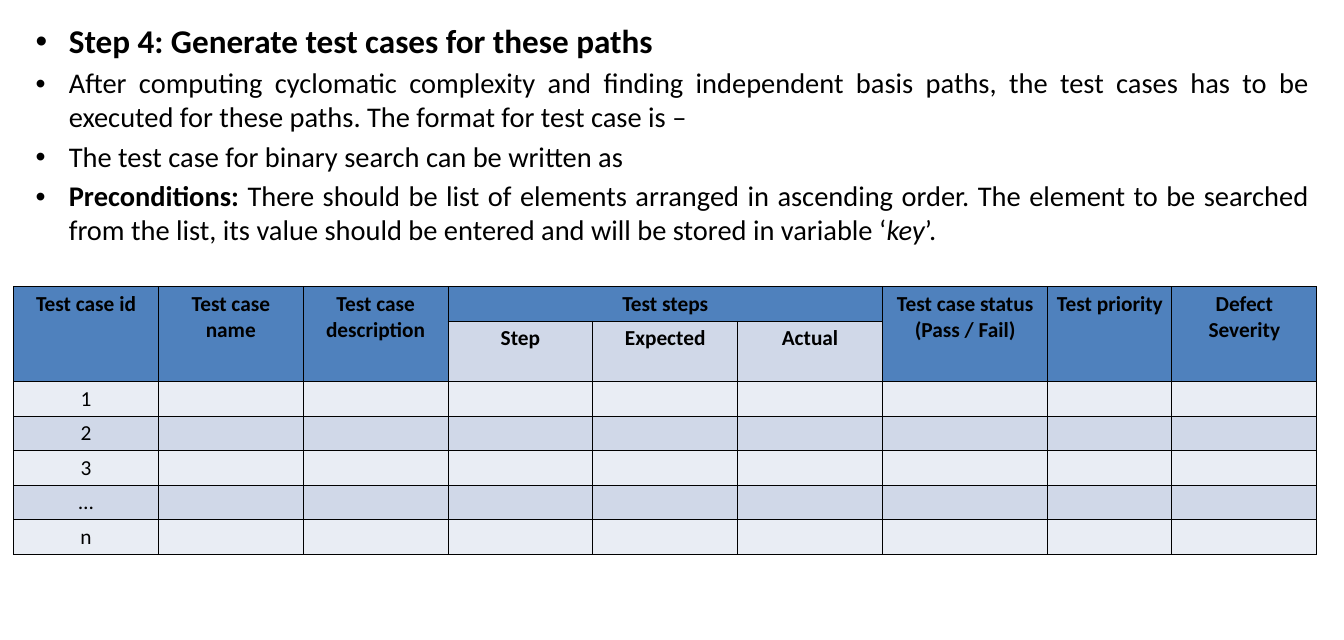
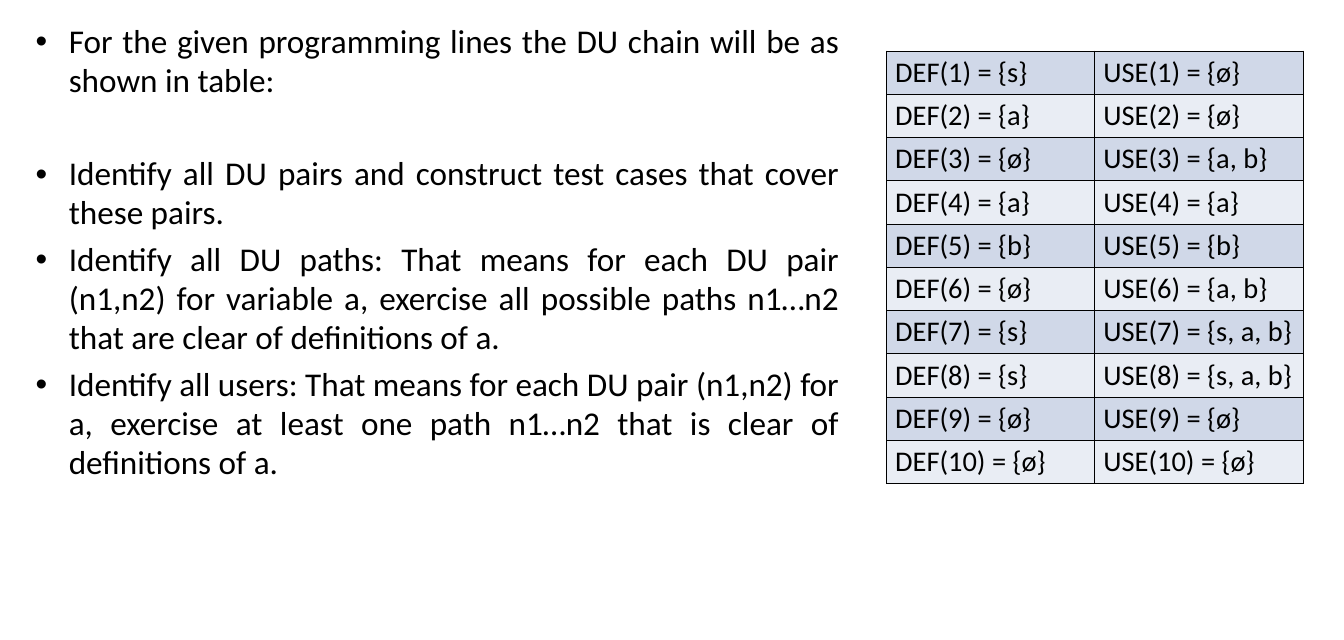
from lxml import etree
from pptx import Presentation
from pptx.dml.color import RGBColor
from pptx.enum.text import PP_ALIGN
from pptx.oxml.ns import qn
from pptx.util import Pt

JUSTIFY, CENTER, LEFT = PP_ALIGN.JUSTIFY, PP_ALIGN.CENTER, PP_ALIGN.LEFT
FONT = "Calibri"
BLACK = RGBColor(0x00, 0x00, 0x00)
HEADER_BLUE = RGBColor(0x4F, 0x81, 0xBD)
BAND_DARK = RGBColor(0xD0, 0xD8, 0xE8)
BAND_LIGHT = RGBColor(0xE9, 0xED, 0xF4)

SLIDE_WIDTH, SLIDE_HEIGHT = 1134, 540
BODY_LEFT, BODY_TOP, BODY_HEIGHT = 23, 15, 516
BULLET_INDENT = 28
LINE_SPACING = 0.98

# Bullets: (size, space before, [(text, style), ...])
PATH_BULLETS = [
    (28, 0, [("Step 4: Generate test cases for these paths", "bold")]),
    (24, 5.2, [("After computing cyclomatic complexity and finding independent basis "
                "paths, the test cases has to be executed for these paths. "
                "The format for test case is –", "")]),
    (24, 5.2, [("The test case for binary search can be written as", "")]),
    (24, 5.2, [("Preconditions: ", "bold"),
               ("There should be list of elements arranged in ascending order. "
                "The element to be searched from the list, its value should be "
                "entered and will be stored in variable ‘", ""),
               ("key", "italic"), ("’.", "")]),
]
CHAIN_BULLETS = [
    (28, 0, [("For the given programming lines the DU chain will be as shown in table:", "")]),
    (28, 46, [("Identify all DU pairs and construct test cases that cover these pairs.", "")]),
    (28, 6.5, [("Identify all DU paths: That means for each DU pair (n1,n2) for variable a, "
                "exercise all possible paths n1…n2 that are clear of definitions of a.", "")]),
    (28, 6.5, [("Identify all users: That means for each DU pair (n1,n2) for a, exercise "
                "at least one path n1…n2 that is clear of definitions of a.", "")]),
]

# Test case table
TOP_HEADERS = ["Test case id", "Test case name", "Test case description", "Test steps", "", "",
               "Test case status\n(Pass / Fail)", "Test priority", "Defect Severity"]
STEP_HEADERS = ["", "", "", "Step", "Expected", "Actual", "", "", ""]
STEP_COLUMNS = range(3, 6)
CASE_IDS = ["1", "2", "3", "…", "n"]
CASE_WIDTHS = [122.2] * 6 + [139.7, 104.6, 122.2]
CASE_HEIGHTS = [29.2, 50.8] + [29.2] * len(CASE_IDS)

# Definitions and uses of each programming line
DEFS = ["s", "a", "ø", "a", "b", "ø", "s", "s", "ø", "ø"]
USES = ["ø", "ø", "a, b", "a", "b", "a, b", "s, a, b", "s, a, b", "ø", "ø"]


def add_span(para, text, size, style=""):
    span = para.add_run()
    span.text = text
    font = span.font
    font.name, font.size = FONT, Pt(size)
    font.color.rgb = BLACK
    font.bold, font.italic = style == "bold", style == "italic"


def add_bullets(page, width, bullets):
    box = page.shapes.add_textbox(Pt(BODY_LEFT), Pt(BODY_TOP), Pt(width), Pt(BODY_HEIGHT))
    frame = box.text_frame
    frame.word_wrap = True
    for number, (size, before, spans) in enumerate(bullets):
        para = frame.add_paragraph() if number else frame.paragraphs[0]
        para.alignment = JUSTIFY
        para.line_spacing = LINE_SPACING
        para.space_before = Pt(before)
        props = para._p.get_or_add_pPr()
        props.set("marL", str(Pt(BULLET_INDENT)))
        props.set("indent", str(-Pt(BULLET_INDENT)))
        etree.SubElement(props, qn("a:buFont")).set("typeface", "Arial")
        etree.SubElement(props, qn("a:buChar")).set("char", "•")
        for text, style in spans:
            add_span(para, text, size, style)


def style_cell(cell, fill):
    props = cell._tc.get_or_add_tcPr()
    for side in ("a:lnL", "a:lnR", "a:lnT", "a:lnB"):
        line = etree.SubElement(props, qn(side), w=str(Pt(1)))
        solid = etree.SubElement(line, qn("a:solidFill"))
        etree.SubElement(solid, qn("a:srgbClr"), val=str(BLACK))
    cell.fill.solid()
    cell.fill.fore_color.rgb = fill


def add_grid(page, left, top, widths, heights, rows, size, align, fill_of, header_rows=0):
    frame = page.shapes.add_table(len(rows), len(widths), Pt(left), Pt(top),
                                  Pt(sum(widths)), Pt(sum(heights)))
    table = frame.table
    for column, width in zip(table.columns, widths):
        column.width = Pt(width)
    for r, (row, height) in enumerate(zip(rows, heights)):
        table.rows[r].height = Pt(height)
        for c, text in enumerate(row):
            cell = table.cell(r, c)
            style_cell(cell, fill_of(r, c))
            for number, line in enumerate(text.split("\n")):
                para = cell.text_frame.add_paragraph() if number else cell.text_frame.paragraphs[0]
                para.alignment = align
                para.font.size = Pt(size)
                if line:
                    add_span(para, line, size, "bold" if r < header_rows else "")
    return table


def case_fill(r, c):
    if r == 0 or (r == 1 and c not in STEP_COLUMNS):
        return HEADER_BLUE
    return BAND_DARK if r % 2 else BAND_LIGHT


def chain_fill(r, c):
    return BAND_LIGHT if r % 2 else BAND_DARK


def main():
    deck = Presentation()
    deck.slide_width, deck.slide_height = Pt(SLIDE_WIDTH), Pt(SLIDE_HEIGHT)
    blank = deck.slide_layouts[6]

    # Test cases for the paths
    page = deck.slides.add_slide(blank)
    add_bullets(page, 1088.6, PATH_BULLETS)
    blanks = [""] * (len(TOP_HEADERS) - 1)
    rows = [TOP_HEADERS, STEP_HEADERS] + [[case_id] + blanks for case_id in CASE_IDS]
    table = add_grid(page, 11.5, 241.9, CASE_WIDTHS, CASE_HEIGHTS, rows, 18, CENTER,
                     case_fill, header_rows=2)
    table.cell(0, STEP_COLUMNS[0]).merge(table.cell(0, STEP_COLUMNS[-1]))
    for c in range(len(TOP_HEADERS)):
        if c not in STEP_COLUMNS:
            table.cell(0, c).merge(table.cell(1, c))

    # DU chain
    page = deck.slides.add_slide(blank)
    add_bullets(page, 692, CHAIN_BULLETS)
    rows = [[f"DEF({n}) = {{{defined}}}", f"USE({n}) = {{{used}}}"]
            for n, (defined, used) in enumerate(zip(DEFS, USES), 1)]
    add_grid(page, 748.1, 43.2, [175.7] * 2, [36.5] * len(rows), rows, 24, LEFT, chain_fill)

    deck.save("out.pptx")


if __name__ == "__main__":
    main()
